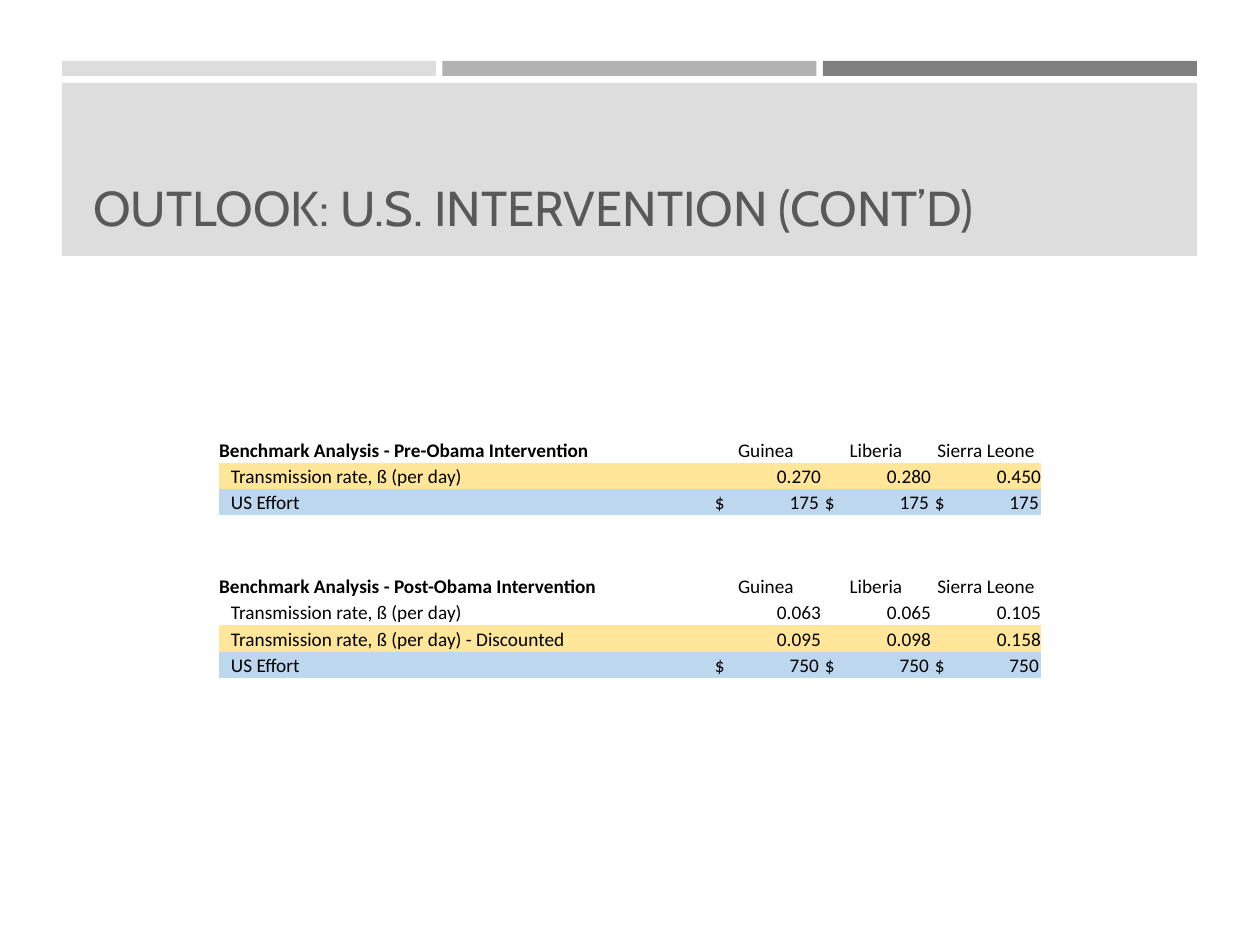
from lxml import etree
from pptx import Presentation
from pptx.dml.color import RGBColor
from pptx.enum.shapes import MSO_SHAPE
from pptx.enum.text import MSO_ANCHOR, PP_ALIGN
from pptx.oxml.ns import qn
from pptx.util import Pt

RECTANGLE = MSO_SHAPE.RECTANGLE
BOTTOM = MSO_ANCHOR.BOTTOM
LEFT, CENTER, RIGHT = PP_ALIGN.LEFT, PP_ALIGN.CENTER, PP_ALIGN.RIGHT
PX = 914400 // 126
NO_STYLE = "{2D5ABB26-0587-4C30-8999-92F81FD0307C}"

COLORS = {
    "light": "DDDDDD", "middle": "B2B2B2", "dark": "808080",
    "title": "595959", "text": "000000",
    "yellow": "FFE699", "blue": "BDD7EE",
}

# Content: row kind, fill, cells
TITLE = "OUTLOOK: U.S. INTERVENTION (CONT’D)"
COUNTRIES = ["Guinea", "Liberia", "Sierra Leone"]
RATE = "Transmission rate, ß (per day)"
ROWS = [
    ("header", None, ["Benchmark Analysis - Pre-Obama Intervention", *COUNTRIES]),
    ("rate", "yellow", [RATE, "0.270", "0.280", "0.450"]),
    ("money", "blue", ["US Effort"] + ["$\t175"] * 3),
    ("empty", None, [""] * 4),
    ("empty", None, [""] * 4),
    ("header", None, ["Benchmark Analysis - Post-Obama Intervention", *COUNTRIES]),
    ("rate", None, [RATE, "0.063", "0.065", "0.105"]),
    ("rate", "yellow", [RATE + " - Discounted", "0.095", "0.098", "0.158"]),
    ("money", "blue", ["US Effort"] + ["$\t750"] * 3),
]
VALUE_ALIGN = {"header": CENTER, "rate": RIGHT, "money": LEFT, "empty": LEFT}

# Layout in px
BAND_LEFT, BAND_WIDTH = 62, 1135
BAR_TOP, BAR_WIDTH, BAR_HEIGHT = 61, 374, 15
TABLE_LEFT, TABLE_TOP = 219, 436
COLUMN_WIDTHS = [492, 110, 110, 110]
ROW_HEIGHTS = [27, 26, 26, 32, 26, 26, 26, 27, 26]
LABEL_INDENT, MONEY_INDENT, MONEY_TAB = 12, 4, 104


def emu(*lengths):
    return [round(length * PX) for length in lengths]


def color(name):
    return RGBColor.from_string(COLORS[name])


def style_font(font, name, size, color_name, bold=False):
    font.name, font.size, font.bold = name, Pt(size), bold
    font.color.rgb = color(color_name)


def add_block(page, left, top, width, height, fill):
    block = page.shapes.add_shape(RECTANGLE, *emu(left, top, width, height))
    block.shadow.inherit = False
    block.fill.solid()
    block.fill.fore_color.rgb = color(fill)
    block.line.fill.background()


def add_right_tab(para, position):
    tabs = etree.SubElement(para._p.get_or_add_pPr(), qn("a:tabLst"))
    etree.SubElement(tabs, qn("a:tab"), pos=str(emu(position)[0]), algn="r")


def fill_cell(cell, kind, fill, text, is_label):
    indent = 0
    if is_label and kind in ("rate", "money"):
        indent = LABEL_INDENT
    elif kind == "money":
        indent = MONEY_INDENT
    cell.margin_left = emu(indent)[0]
    cell.margin_right = cell.margin_top = cell.margin_bottom = 0
    cell.vertical_anchor = BOTTOM
    if fill:
        cell.fill.solid()
        cell.fill.fore_color.rgb = color(fill)
    else:
        cell.fill.background()

    para = cell.text_frame.paragraphs[0]
    para.text = text
    para.alignment = LEFT if is_label else VALUE_ALIGN[kind]
    if kind == "money" and not is_label:
        add_right_tab(para, MONEY_TAB)
    for span in para.runs:
        style_font(span.font, "Calibri", 11, "text", is_label and kind == "header")
    if not text:  # keeps empty rows from growing
        etree.SubElement(para._p, qn("a:endParaRPr"), sz="1100")


def add_table(page):
    frame = page.shapes.add_table(
        len(ROWS), len(COLUMN_WIDTHS),
        *emu(TABLE_LEFT, TABLE_TOP, sum(COLUMN_WIDTHS), sum(ROW_HEIGHTS)))
    table = frame.table
    table.first_row = table.horz_banding = False
    table._tbl.tblPr.find(qn("a:tableStyleId")).text = NO_STYLE
    for column, width in zip(table.columns, emu(*COLUMN_WIDTHS)):
        column.width = width
    for row, height, (kind, fill, texts) in zip(table.rows, emu(*ROW_HEIGHTS), ROWS):
        row.height = height
        for index, (cell, text) in enumerate(zip(row.cells, texts)):
            fill_cell(cell, kind, fill, text, index == 0)


def main():
    deck = Presentation()
    deck.slide_width, deck.slide_height = emu(1260, 945)
    page = deck.slides.add_slide(deck.slide_layouts[6])

    # Header bars and title band
    pitch = (BAND_WIDTH - BAR_WIDTH) / 2
    for index, fill in enumerate(["light", "middle", "dark"]):
        add_block(page, BAND_LEFT + index * pitch, BAR_TOP, BAR_WIDTH, BAR_HEIGHT, fill)
    add_block(page, BAND_LEFT, 83, BAND_WIDTH, 173, "light")

    # Title
    box = page.shapes.add_textbox(*emu(81, 94, 1101, 149))
    box.text_frame.word_wrap = True
    box.text_frame.vertical_anchor = BOTTOM
    box.text_frame.text = TITLE
    style_font(box.text_frame.paragraphs[0].runs[0].font, "Cabin", 28, "title")

    add_table(page)
    deck.save("out.pptx")


if __name__ == "__main__":
    main()
